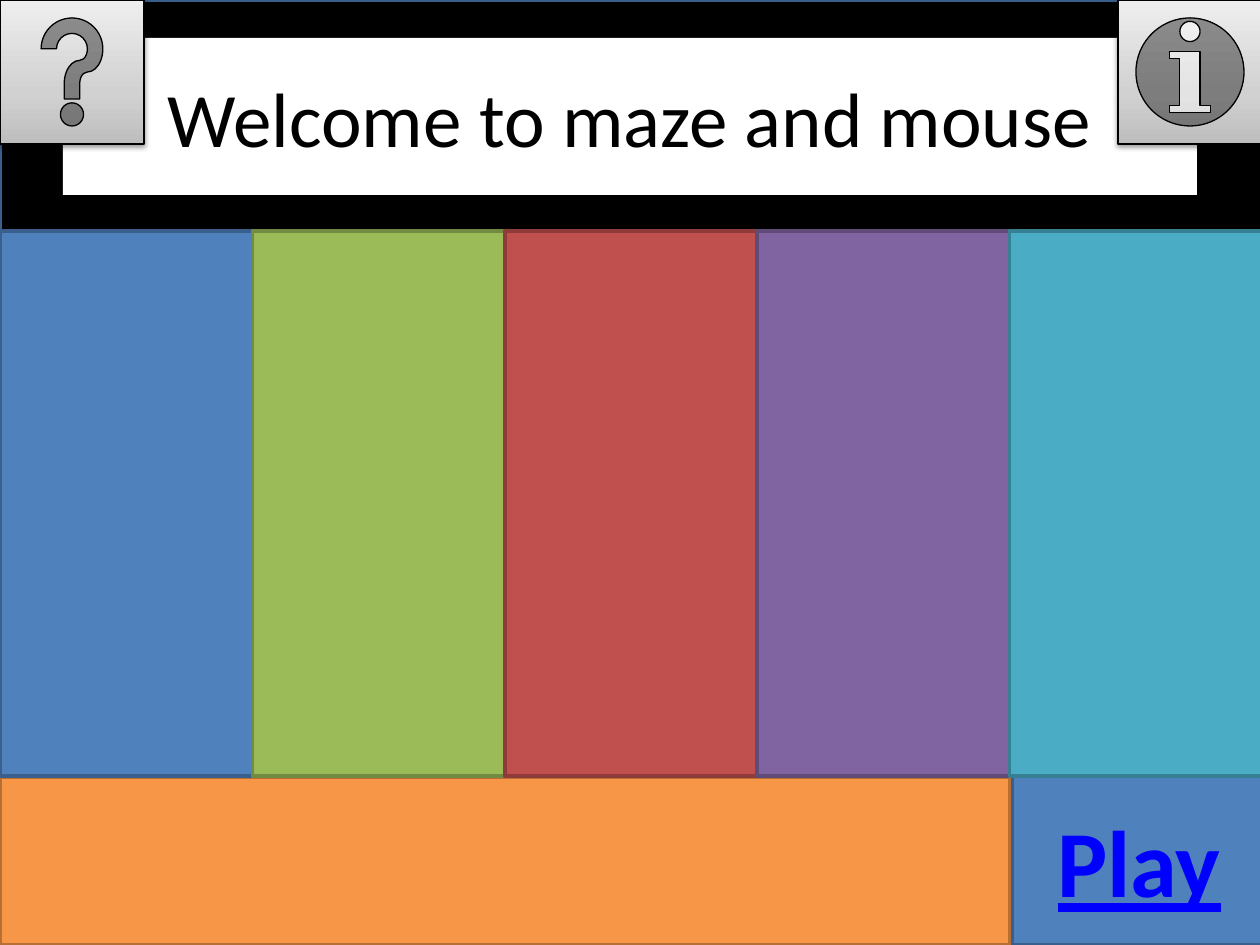
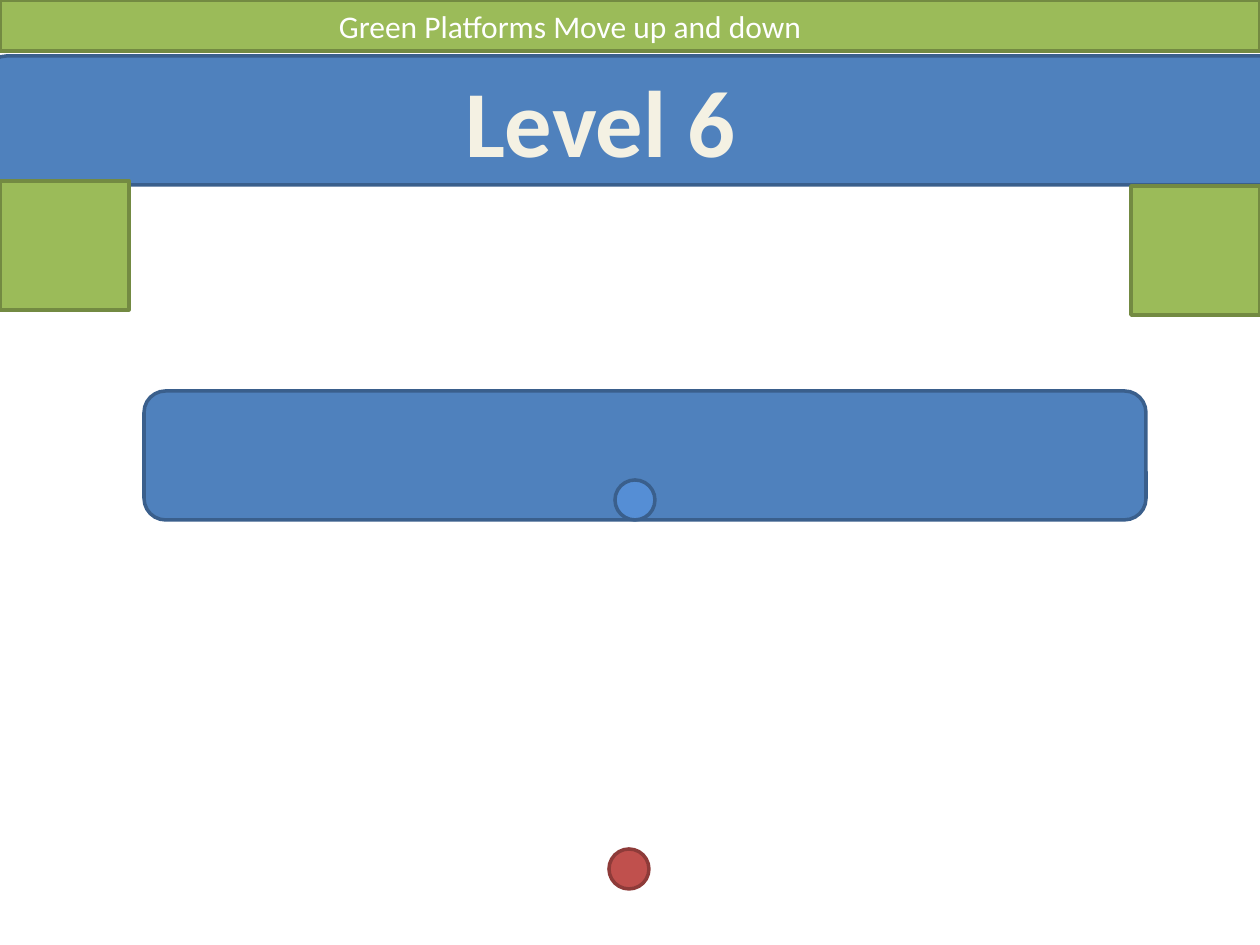
from copy import deepcopy

from lxml import etree
from pptx import Presentation
from pptx.dml.color import RGBColor
from pptx.enum.shapes import MSO_SHAPE as SHAPE
from pptx.enum.text import MSO_ANCHOR as ANCHOR, PP_ALIGN as ALIGN
from pptx.oxml.ns import qn
from pptx.util import Pt

PX = 914400 / 126
W, H = 1260, 945
FONT = "Calibri"
COLORS = {
    "black": "000000", "white": "FFFFFF", "cream": "F4F1E3", "link": "0000FF",
    "blue": "4F81BD", "blue_edge": "3A5F8C", "green": "9BBB59", "green_edge": "738A42",
    "red": "C0504D", "red_edge": "8E3B39", "purple": "8064A2", "purple_edge": "5F4A78",
    "teal": "4BACC6", "teal_edge": "377F92", "orange": "F79646", "orange_edge": "B76F34",
    "sky": "558ED5", "gray_dark": "BDBDBD", "gray_mid": "D1D1D1", "gray_light": "EEEEEE",
}
BUTTON_STOPS = [(0, "gray_dark"), (0.35, "gray_mid"), (1, "gray_light")]


def rgb(name):
    return RGBColor.from_string(COLORS[name])


def emu(*lengths):
    return [round(n * PX) for n in lengths]


def add_block(s, kind, box, fill, edge=None, width=2):
    sp = s.shapes.add_shape(kind, *emu(*box))
    sp.shadow.inherit = False
    sp.fill.solid()
    sp.fill.fore_color.rgb = rgb(fill)
    if edge:
        sp.line.color.rgb = rgb(edge)
        sp.line.width = Pt(width)
    else:
        sp.line.fill.background()
    return sp


def write(sp, text, color, align=ALIGN.CENTER, anchor=ANCHOR.MIDDLE, wrap=True, **formats):
    tf = sp.text_frame
    tf.word_wrap, tf.vertical_anchor = wrap, anchor
    p = tf.paragraphs[0]
    p.alignment = align
    r = p.add_run()
    r.text = text
    r.font.color.rgb = rgb(color)
    for key, value in {"name": FONT, **formats}.items():
        setattr(r.font, key, value)


def add_label(s, box, text, color, **formats):
    """Large bold words over a shape."""
    sp = s.shapes.add_textbox(*emu(*box))
    write(sp, text, color, anchor=ANCHOR.TOP, size=Pt(54), bold=True, **formats)


def add_icon_button(s, kind, x, y, side):
    sp = add_block(s, kind, (x, y, side, side), "gray_mid", "black", 0.75)
    # Three-stop gradient, light at the top
    sp.fill.gradient()
    sp.fill.gradient_angle = 90
    stop_list = sp.element.spPr.find(qn("a:gradFill")).find(qn("a:gsLst"))
    stop_list.insert(1, deepcopy(stop_list[0]))
    for stop, (position, color) in zip(sp.fill.gradient_stops, BUTTON_STOPS):
        stop.position = position
        stop.color.rgb = rgb(color)
    # Soft shadow below
    effects = sp.element.spPr.find(qn("a:effectLst"))
    shadow = etree.SubElement(effects, qn("a:outerShdw"), blurRad=str(Pt(3.1)),
                              dist=str(Pt(1.6)), dir="5400000", rotWithShape="0")
    color = etree.SubElement(shadow, qn("a:srgbClr"), val=COLORS["black"])
    etree.SubElement(color, qn("a:alpha"), val="38000")


def add_stripes(s, x, y, w, h, names):
    step = w / len(names)
    for i, name in enumerate(names):
        add_block(s, SHAPE.FLOWCHART_PROCESS, (x + i * step, y, step + 1, h),
                  name, name + "_edge")


def add_play_bar(s, x, y, w, h):
    split = w * 4 / 5
    add_block(s, SHAPE.ACTION_BUTTON_CUSTOM, (x + split + 3, y, w - split, h),
              "blue", "blue_edge")
    add_label(s, (x + split + 13, y + 21, 233, 127), "Play", "link", underline=True)
    add_block(s, SHAPE.FLOWCHART_PROCESS, (x, y + 1, split, h - 1), "orange", "orange_edge")


def welcome_slide(s, w, h):
    # Backdrop and title
    add_block(s, SHAPE.FLOWCHART_PROCESS, (0, 0, w + 2, h), "black", "blue_edge")
    title = add_block(s, SHAPE.RECTANGLE, (63, 38, w - 126, 157), "white")
    write(title, "Welcome to maze and mouse", "black", size=Pt(44))
    # Play bar below the coloured stripes
    add_play_bar(s, 0, 776, w + 2, h - 776)
    add_stripes(s, 0, 231, w + 2, 545, ["blue", "green", "red", "purple", "teal"])
    # Corner buttons
    side = 144
    add_icon_button(s, SHAPE.ACTION_BUTTON_HELP, 0, 0, side)
    add_icon_button(s, SHAPE.ACTION_BUTTON_INFORMATION, w + 2 - side, 0, side)


def level_slide(s, w, level, hint):
    # Walls
    for box in [(-15, 56, 1300, 129), (144, 391, 1002, 129)]:
        add_block(s, SHAPE.ROUNDED_RECTANGLE, box, "blue", "blue_edge")
    # Moving platforms
    side = 129
    for x, y in [(0, 181), (w - side, 186)]:
        add_block(s, SHAPE.FLOWCHART_PROCESS, (x, y, side, side), "green", "green_edge")
    # Hint banner
    banner = add_block(s, SHAPE.RECTANGLE, (0, 0, w, 51), "green", "green_edge")
    banner.text_frame.margin_left = emu(339)[0]
    write(banner, hint, "white", align=ALIGN.LEFT, size=Pt(18))
    # Level name
    add_label(s, (451, 57, 299, 127), level, "cream", wrap=False)
    # Start and goal
    for x, y, fill, edge in [(615, 480, "sky", "blue_edge"), (609, 849, "red", "red_edge")]:
        add_block(s, SHAPE.OVAL, (x, y, 40, 40), fill, edge)


prs = Presentation()
prs.slide_width, prs.slide_height = emu(W, H)
blank = prs.slide_layouts[6]
welcome_slide(prs.slides.add_slide(blank), W, H)
level_slide(prs.slides.add_slide(blank), W, "Level 6", "Green Platforms Move up and down")
prs.save("out.pptx")
